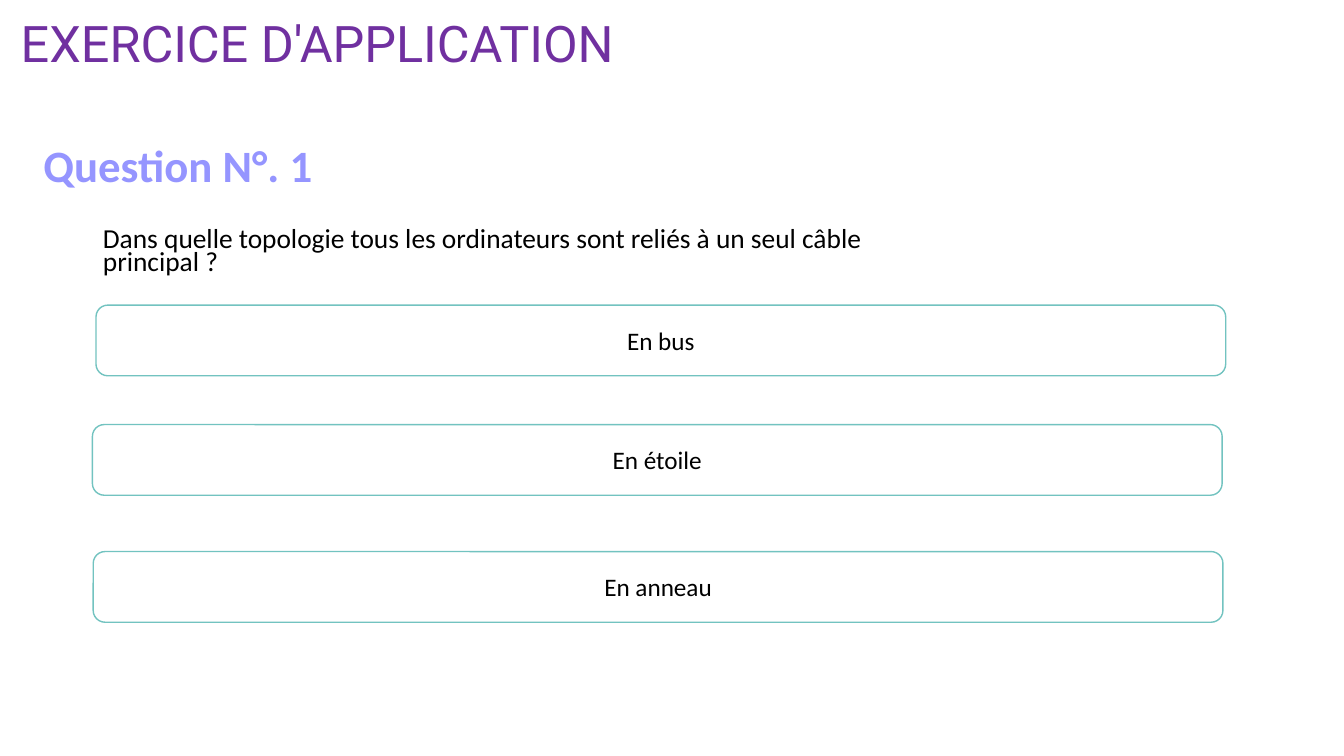
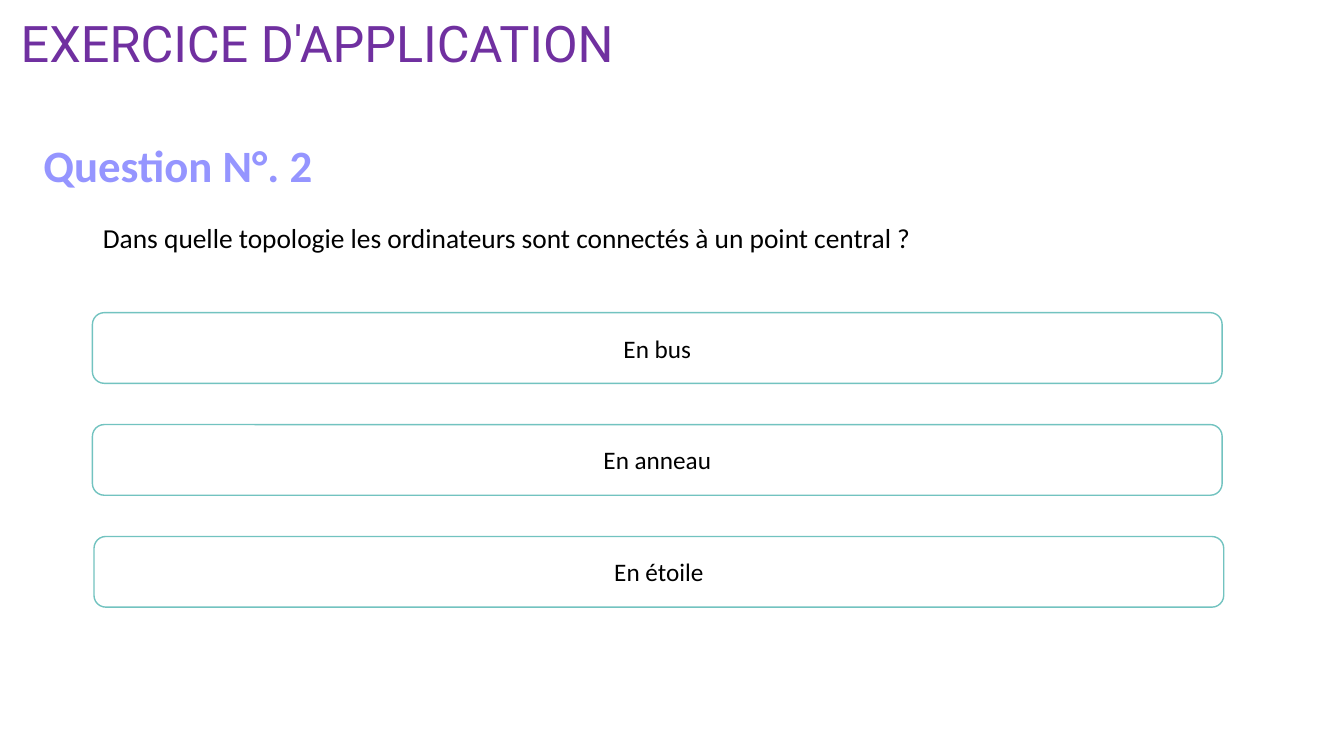
from lxml.etree import SubElement
from pptx import Presentation
from pptx.dml.color import RGBColor
from pptx.enum.shapes import MSO_SHAPE
from pptx.enum.text import MSO_ANCHOR, MSO_AUTO_SIZE, PP_ALIGN
from pptx.oxml.ns import qn
from pptx.util import Cm, Pt

PURPLE = RGBColor(0x70, 0x30, 0xA0)
LAVENDER = RGBColor(0x95, 0x95, 0xFF)
TEAL = RGBColor(0x72, 0xC3, 0xC0)
WHITE = RGBColor(0xFF, 0xFF, 0xFF)
BLACK = RGBColor(0x00, 0x00, 0x00)

BODY_FONT = "Calibri"
BANNER_FONT = "Roboto"

# Boxes are left, top, width, height in centimetres
BANNER_BOX = (0, 0.91, 16, 1.02)
TITLE_BOX = (0.84, 3.18, 15.24, 2.11)
QUESTION_BOX = (2.34, 5.66, 21.67, 1.52)
ANSWER_SIZE = (28.47, 1.78)

# Each answer: text, left, top
QUESTIONS = [
    ("Dans quelle topologie tous les ordinateurs sont reliés à un seul câble principal ?",
     [("En bus", 2.42, 7.69), ("En étoile", 2.33, 10.7), ("En anneau", 2.35, 13.9)]),
    ("Dans quelle topologie les ordinateurs sont connectés à un point central ?",
     [("En bus", 2.33, 7.88), ("En anneau", 2.33, 10.7), ("En étoile", 2.37, 13.52)]),
]


def place(shape, box):
    shape.left, shape.top, shape.width, shape.height = map(Cm, box)


def write(shape, text, size, color, font=BODY_FONT, bold=False,
          align=PP_ALIGN.LEFT, anchor=MSO_ANCHOR.MIDDLE, spacing=1.0):
    """Write one run in the first paragraph and return that paragraph."""
    frame = shape.text_frame
    frame.word_wrap = True
    frame.auto_size = MSO_AUTO_SIZE.NONE
    frame.vertical_anchor = anchor
    paragraph = frame.paragraphs[0]
    paragraph.alignment = align
    paragraph.line_spacing = spacing
    paragraph.space_before = Pt(0)
    run = paragraph.add_run()
    run.text = text
    run.font.name = font
    run.font.size = Pt(size)
    run.font.bold = bold
    run.font.color.rgb = color
    return paragraph


def remove_bullet(paragraph):
    properties = paragraph._p.get_or_add_pPr()
    properties.set("marL", "0")
    properties.set("indent", "0")
    SubElement(properties, qn("a:buNone"))


def add_banner(slide, box):
    banner = slide.shapes.add_textbox(*map(Cm, box))
    write(banner, "EXERCICE D'APPLICATION", 36, PURPLE, font=BANNER_FONT,
          align=PP_ALIGN.CENTER, anchor=MSO_ANCHOR.TOP, spacing=Pt(26.1))
    frame = banner.text_frame
    frame.auto_size = MSO_AUTO_SIZE.SHAPE_TO_FIT_TEXT
    frame.margin_left = frame.margin_right = frame.margin_top = frame.margin_bottom = 0


def add_answer(slide, text, box):
    answer = slide.shapes.add_shape(MSO_SHAPE.ROUNDED_RECTANGLE, *map(Cm, box))
    answer.shadow.inherit = False
    answer.fill.solid()
    answer.fill.fore_color.rgb = WHITE
    answer.line.color.rgb = TEAL
    answer.line.width = Pt(1)
    write(answer, text, 18, BLACK, align=PP_ALIGN.CENTER)


def add_question_slide(presentation, number, question, answers):
    slide = presentation.slides.add_slide(presentation.slide_layouts[1])
    title, body = slide.shapes.title, slide.placeholders[1]
    place(title, TITLE_BOX)
    write(title, f"Question N°. {number}", 32, LAVENDER, bold=True, spacing=0.9)
    place(body, QUESTION_BOX)
    paragraph = write(body, question, 19.6, BLACK, anchor=MSO_ANCHOR.TOP, spacing=0.7)
    remove_bullet(paragraph)
    for text, left, top in answers:
        add_answer(slide, text, (left, top, *ANSWER_SIZE))
    add_banner(slide, BANNER_BOX)


def main():
    presentation = Presentation()
    presentation.slide_width = Cm(33.87)
    presentation.slide_height = Cm(19.05)
    for number, (question, answers) in enumerate(QUESTIONS, start=1):
        add_question_slide(presentation, number, question, answers)
    presentation.save("out.pptx")


if __name__ == "__main__":
    main()
